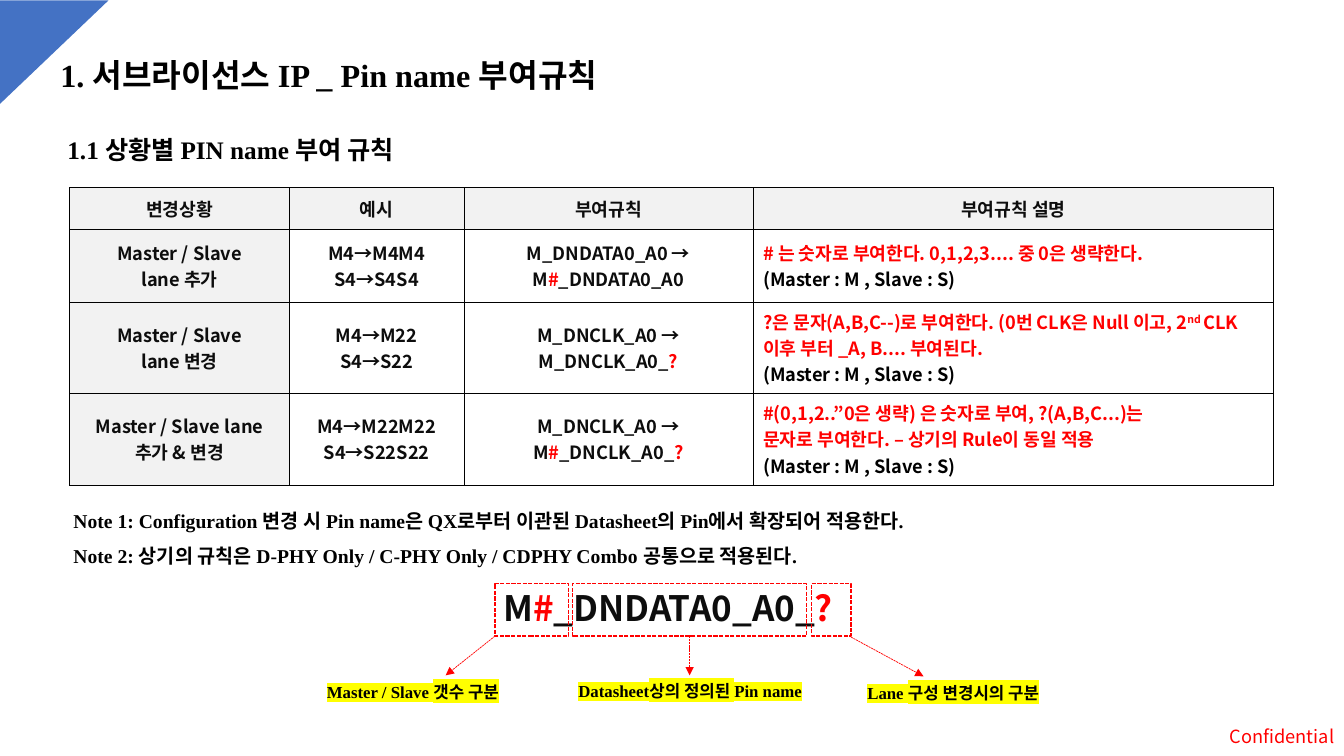
from lxml import etree
from pptx import Presentation
from pptx.dml.color import RGBColor
from pptx.enum.dml import MSO_LINE
from pptx.enum.shapes import MSO_CONNECTOR, MSO_SHAPE
from pptx.enum.text import MSO_ANCHOR, MSO_AUTO_SIZE, PP_ALIGN
from pptx.oxml.ns import qn
from pptx.util import Inches, Pt

LEFT, MID, RIGHT = PP_ALIGN.LEFT, PP_ALIGN.CENTER, PP_ALIGN.RIGHT
SANS, SERIF = "Noto Sans CJK KR", "Times New Roman"
BLACK, DARK, RED = "000000", "0D0D0D", "FF0000"
BLUE, GRAY, YELLOW, WHITE = "4472C4", "F2F2F2", "FFFF00", "FFFFFF"

# Content: | switches red on and off, ^ switches superscript on and off
ROLES = "(Master : M , Slave : S)"
HEADS = ["변경상황", "예시", "부여규칙", "부여규칙 설명"]
RULES = [
    (["Master / Slave", "lane 추가"],
     ["M4→M4M4", "S4→S4S4"],
     ["M_DNDATA0_A0 → M|#|_DNDATA0_A0"],
     ["|# 는 숫자로 부여한다. 0,1,2,3.... 중 0은 생략한다.|", ROLES]),
    (["Master / Slave", "lane 변경"],
     ["M4→M22", "S4→S22"],
     ["M_DNCLK_A0 → M_DNCLK_A0_|?|"],
     ["|?은 문자(A,B,C--)로 부여한다. (0번 CLK은 Null 이고, 2^nd ^"
      "CLK이후 부터 _A, B.... 부여된다.|", ROLES]),
    (["Master / Slave lane", "추가 & 변경"],
     ["M4→M22M22", "S4→S22S22"],
     ["M_DNCLK_A0 →", "M|#|_DNCLK_A0_|?|"],
     ["|#(0,1,2..”0은 생략) 은 숫자로 부여, ?(A,B,C...)는|",
      "|문자로 부여한다. – 상기의 Rule이 동일 적용|", ROLES]),
]
COLS, ROWS = [2.18, 1.73, 2.87, 5.16], [0.41, 0.73, 0.9, 0.91]
NOTES = [
    "Note 1: Configuration 변경 시 Pin name은 QX로부터 이관된 Datasheet의 Pin에서 확장되어 적용한다.",
    "Note 2: 상기의 규칙은 D-PHY Only / C-PHY Only / CDPHY Combo 공통으로 적용된다.",
]
# Texts: place, lines, size, font, colour, bold, align, line spacing
TEXTS = [
    ((10.86, 7.15, 2.47, 0.32), ["Confidential"], 13, SANS, RED, False, RIGHT, 1),
    ((0.5, 0.5, 6.73, 0.49), ["1. 서브라이선스 IP _ Pin name 부여규칙"],
     23, SERIF, BLACK, True, LEFT, 1),
    ((0.57, 1.28, 5.29, 0.4), ["1.1 상황별 PIN name 부여 규칙"],
     18, SERIF, BLACK, True, LEFT, 1),
    ((0.63, 4.88, 12.01, 0.76), NOTES, 14, SERIF, BLACK, True, LEFT, 1.5),
    ((0.66, 5.77, 12.01, 0.52), ["M|#|_DNDATA0_A0_|? |"],
     25, SANS, DARK, True, MID, 1),
]
# Name parts: box left and width, label, label place, arrow start and end
BOX_TOP, BOX_H = 5.79, 0.52
PARTS = [
    (4.91, 0.73, "Master / Slave 갯수 구분", (2.99, 6.71, 2.21, 0.3),
     (4.91, 6.31), (4.42, 6.7)),
    (5.68, 2.32, "Datasheet상의 정의된 Pin name", (5.54, 6.7, 2.61, 0.3),
     None, (6.84, 6.7)),
    (8.05, 0.39, "Lane 구성 변경시의 구분", (8.35, 6.72, 2.21, 0.3),
     (8.44, 6.32), (9.16, 6.71)),
]


def paint(target, color):
    target.rgb = RGBColor.from_string(color)


def fill(target, color):
    target.fill.solid()
    paint(target.fill.fore_color, color)


def write(frame, lines, size, face, color, bold, align, gap=1, mark=None):
    """Fill a text frame, one paragraph per line."""
    frame.word_wrap = True
    for i, line in enumerate(lines):
        para = frame.paragraphs[0] if i == 0 else frame.add_paragraph()
        para.alignment, para.line_spacing = align, gap
        for j, part in enumerate(line.split("|")):
            for k, words in enumerate(part.split("^")):
                if not words:
                    continue
                run = para.add_run()
                run.text = words
                font = run.font
                font.size, font.bold, font.name = Pt(size), bold, face
                paint(font.color, RED if j % 2 else color)
                props = run._r.get_or_add_rPr()
                if k % 2:
                    props.set("baseline", "30000")
                latin = props.find(qn("a:latin"))
                east = etree.Element(qn("a:ea"), typeface=SANS)
                latin.addnext(east)
                if mark:
                    glow = etree.Element(qn("a:highlight"))
                    etree.SubElement(glow, qn("a:srgbClr"), val=mark)
                    latin.addprevious(glow)


def label(place, *style, **more):
    frame = shapes.add_textbox(*map(Inches, place)).text_frame
    write(frame, *style, **more)
    frame.auto_size = MSO_AUTO_SIZE.SHAPE_TO_FIT_TEXT


def border(cell):
    props = cell._tc.get_or_add_tcPr()
    for side in "LRTB":
        edge = etree.SubElement(props, qn("a:ln" + side), w=str(Pt(0.25)))
        solid = etree.SubElement(edge, qn("a:solidFill"))
        etree.SubElement(solid, qn("a:srgbClr"), val=BLACK)


def dash(line, width):
    paint(line.color, RED)
    line.width, line.dash_style = Pt(width), MSO_LINE.SQUARE_DOT


deck = Presentation()
deck.slide_width, deck.slide_height = Inches(13.33), Inches(7.5)
slide = deck.slides.add_slide(deck.slide_layouts[6])
fill(slide.background, WHITE)
shapes = slide.shapes

# Corner
corner = shapes.add_shape(MSO_SHAPE.RIGHT_TRIANGLE, Inches(0.02), Inches(-0.02),
                          Inches(1.03), Inches(1.08))
corner.rotation = 90
corner.shadow.inherit = False
fill(corner, BLUE)
corner.line.fill.background()

# Headings, notes and pin name
for text in TEXTS:
    label(*text)

# Rule table
grid = shapes.add_table(len(ROWS), len(COLS), Inches(0.69), Inches(1.86),
                        Inches(sum(COLS)), Inches(sum(ROWS))).table
for col, width in zip(grid.columns, COLS):
    col.width = Inches(width)
for row, height in zip(grid.rows, ROWS):
    row.height = Inches(height)
for r, row in enumerate([[[head] for head in HEADS]] + RULES):
    for c, lines in enumerate(row):
        cell = grid.cell(r, c)
        border(cell)
        if r == 0 or c == 0:
            fill(cell, GRAY)
        else:
            cell.fill.background()
        cell.vertical_anchor = MSO_ANCHOR.MIDDLE
        note = r > 0 and c == len(COLS) - 1
        write(cell.text_frame, lines, 13, SANS, BLACK if note else DARK,
              True, LEFT if note else MID)

# Name parts with arrows and labels
for left, width, words, place, start, end in PARTS:
    box = shapes.add_shape(MSO_SHAPE.RECTANGLE, Inches(left), Inches(BOX_TOP),
                           Inches(width), Inches(BOX_H))
    box.shadow.inherit = False
    box.fill.background()
    dash(box.line, 1)
    x, y = start or (left + width / 2, BOX_TOP + BOX_H)
    arrow = shapes.add_connector(MSO_CONNECTOR.STRAIGHT, Inches(x), Inches(y),
                                 *map(Inches, end))
    if start is None:
        arrow.begin_connect(box, 2)
    dash(arrow.line, 0.5)
    etree.SubElement(arrow.line._get_or_add_ln(), qn("a:tailEnd"), type="triangle")
    etree.SubElement(arrow._element.spPr, qn("a:effectLst"))
    label(place, [words], 12, SERIF, BLACK, True, MID, mark=YELLOW)

deck.save("out.pptx")
